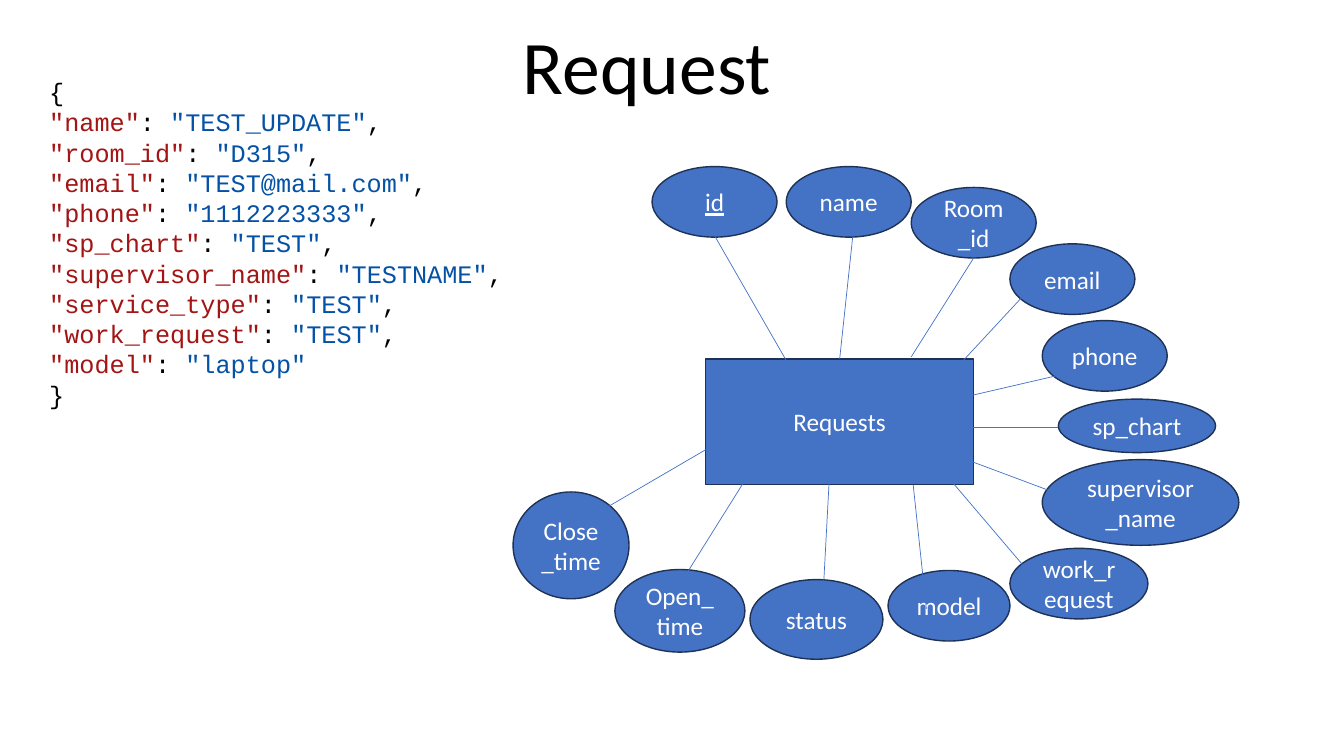
from dataclasses import dataclass

import pptx
import pptx.dml.color
import pptx.enum.shapes
import pptx.enum.text
import pptx.oxml.xmlchemy
import pptx.oxml.ns
import pptx.util
from lxml import etree

Pt = pptx.util.Pt
SHAPES = pptx.enum.shapes.MSO_SHAPE
ALIGN = pptx.enum.text.PP_ALIGN
ANCHOR = pptx.enum.text.MSO_ANCHOR


@dataclass(frozen=True)
class Theme:
    black: str = "000000"
    white: str = "FFFFFF"
    blue: str = "4472C4"
    outline: str = "1E3256"
    json_key: str = "A31515"
    json_value: str = "0451A5"
    body_font: str = "Calibri"
    code_font: str = "Courier New"
    title_size: int = 54
    body_size: int = 18
    outline_width: float = 1
    link_width: float = 0.5


THEME = Theme()

REQUEST_FIELDS = {
    "name": "TEST_UPDATE",
    "room_id": "D315",
    "email": "TEST@mail.com",
    "phone": "1112223333",
    "sp_chart": "TEST",
    "supervisor_name": "TESTNAME",
    "service_type": "TEST",
    "work_request": "TEST",
    "model": "laptop",
}

# Places inside the diagram box: left, top, width, height
ENTITY = (138, 137.3, 191.5, 90)

# Attribute: oval box, link start at the oval, link end at the entity
ATTRIBUTES = {
    "id": ((99.8, 0, 89.3, 50.4), (144.5, 49.5), (197, 140.9)),
    "name": ((195.6, 0, 89.3, 50.4), (243.1, 50.2), (233.8, 137.3)),
    "Room_id": ((284.9, 14.9, 89.3, 50.4), (329.5, 65.3), (284.9, 135.9)),
    "email": ((355.4, 55.2, 89.3, 50.4), (370.6, 86.2), (306.5, 155.3)),
    "phone": ((378.5, 110, 89.3, 50.4), (387.8, 149.6), (316.6, 166.1)),
    "sp_chart": ((390, 166.1, 112.3, 38.2), (390, 186.3), (323, 186.3)),
    "supervisor_name": ((378.5, 209.3, 140.4, 61.2), (382.1, 230.9), (316.6, 206.4)),
    "work_request": ((355.4, 272.7, 98.6, 50.4), (369.8, 290.7), (312.2, 223)),
    "model": ((268.3, 288.5, 87.1, 50.4), (295.7, 315.9), (286.3, 227.3)),
    "status": ((169.7, 295, 95, 56.9), (222.2, 300.8), (226.6, 218.7)),
    "Open_time": ((73.2, 287.8, 92.9, 59), (122.2, 294.3), (166.8, 223)),
    "Close_time": ((0.5, 232.4, 82.8, 76.3), (61.7, 246.8), (144.5, 198.5)),
}
KEY_ATTRIBUTE = "id"


def rgb(value):
    return pptx.dml.color.RGBColor.from_string(value)


def add_text(paragraph, text, *, color=THEME.black, size=THEME.body_size,
             font=THEME.body_font, underline=None):
    run = paragraph.add_run()
    run.text = text
    run.font.name = font
    run.font.size = Pt(size)
    run.font.color.rgb = rgb(color)
    run.font.underline = underline


def add_node(slide, kind, box, text, underline=None):
    shape = slide.shapes.add_shape(kind, *map(Pt, box))
    shape.shadow.inherit = False
    shape.fill.solid()
    shape.fill.fore_color.rgb = rgb(THEME.blue)
    shape.line.color.rgb = rgb(THEME.outline)
    shape.line.width = Pt(THEME.outline_width)
    frame = shape.text_frame
    frame.word_wrap = True
    frame.vertical_anchor = ANCHOR.MIDDLE
    paragraph = frame.paragraphs[0]
    paragraph.alignment = ALIGN.CENTER
    add_text(paragraph, text, color=THEME.white, underline=underline)


def add_link(slide, start, end):
    link = slide.shapes.add_connector(
        pptx.enum.shapes.MSO_CONNECTOR.STRAIGHT, *map(Pt, (*start, *end)))
    link.line.color.rgb = rgb(THEME.blue)
    link.line.width = Pt(THEME.link_width)
    etree.SubElement(link._element.spPr, pptx.oxml.ns.qn("a:effectLst"))


def build_title(slide, box, text):
    title = slide.shapes.title
    title.left, title.top, title.width, title.height = map(Pt, box)
    frame = title.text_frame
    frame.auto_size = pptx.enum.text.MSO_AUTO_SIZE.NONE
    frame.vertical_anchor = ANCHOR.BOTTOM
    paragraph = frame.paragraphs[0]
    paragraph.alignment = ALIGN.CENTER
    paragraph.line_spacing = 0.9
    add_text(paragraph, text, size=THEME.title_size)


def build_json(slide, box, fields):
    frame = slide.shapes.add_textbox(*map(Pt, box)).text_frame
    frame.word_wrap = True
    frame.auto_size = pptx.enum.text.MSO_AUTO_SIZE.SHAPE_TO_FIT_TEXT
    add_text(frame.paragraphs[0], "{", font=THEME.code_font)
    last = list(fields)[-1]
    for key, value in fields.items():
        parts = [(f'"{key}"', THEME.json_key), (": ", THEME.black),
                 (f'"{value}"', THEME.json_value)]
        if key != last:
            parts.append((",", THEME.black))
        paragraph = frame.add_paragraph()
        for text, color in parts:
            add_text(paragraph, text, color=color, font=THEME.code_font)
    add_text(frame.add_paragraph(), "}", font=THEME.code_font)


def build_diagram(slide, box):
    left, top = box[:2]

    def placed(x, y, *size):
        return (left + x, top + y, *size)

    # Entity and its attributes
    add_node(slide, SHAPES.RECTANGLE, placed(*ENTITY), "Requests")
    for name, (oval, _, _) in ATTRIBUTES.items():
        add_node(slide, SHAPES.OVAL, placed(*oval), name,
                 underline=True if name == KEY_ATTRIBUTE else None)

    # Links lie above the nodes
    for _, start, end in ATTRIBUTES.values():
        add_link(slide, placed(*start), placed(*end))


def main():
    presentation = pptx.Presentation()
    presentation.slide_width, presentation.slide_height = Pt(960), Pt(540)
    slide = presentation.slides.add_slide(presentation.slide_layouts[5])
    build_title(slide, (116.6, 21.6, 691.2, 61.2), "Request")
    build_json(slide, (28.1, 51.1, 480.2, 247), REQUEST_FIELDS)
    build_diagram(slide, (366, 119, 519, 352))
    presentation.save("out.pptx")


if __name__ == "__main__":
    main()
